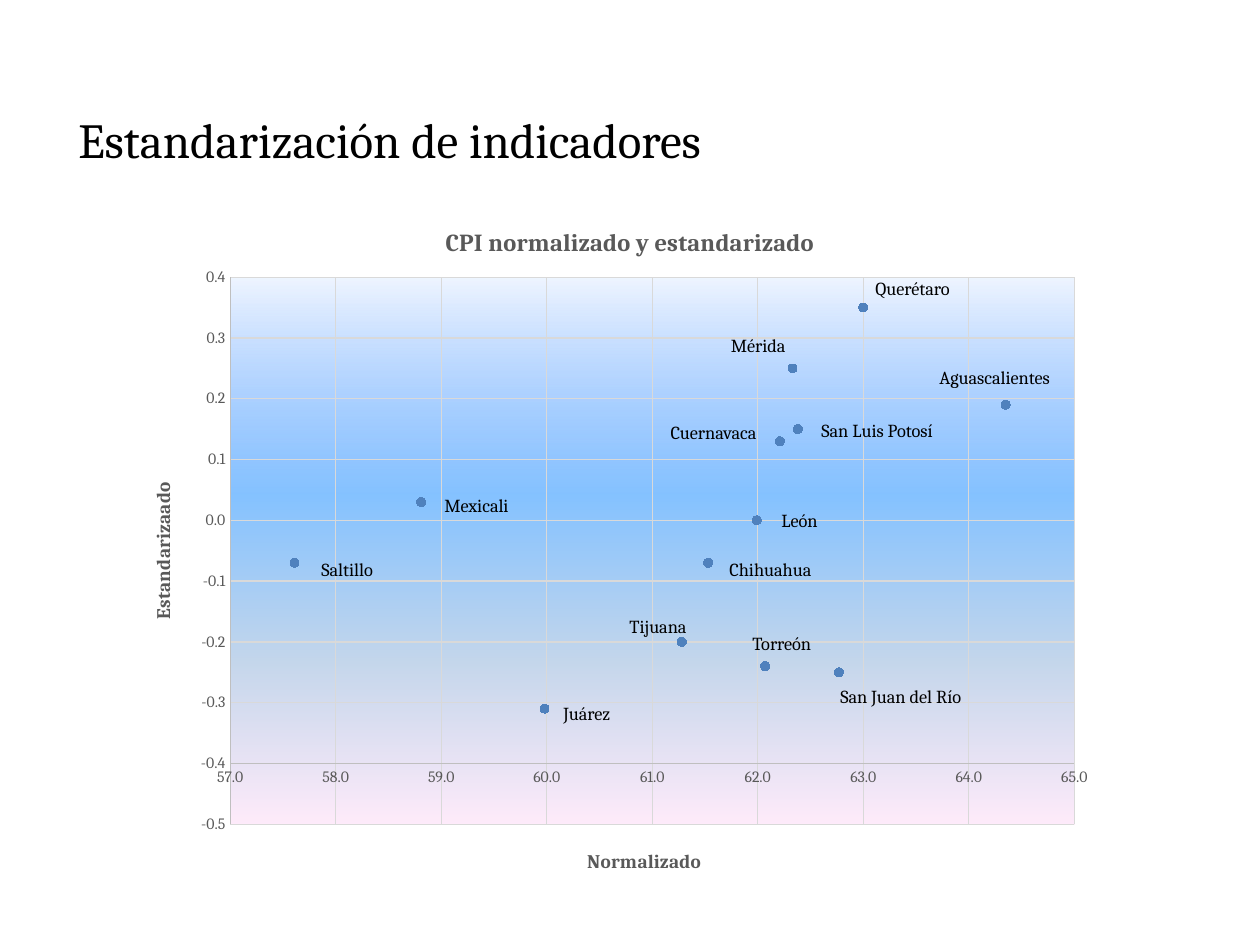
from dataclasses import dataclass

from pptx import Presentation
from pptx.chart.data import XyChartData
from pptx.dml.color import RGBColor
from pptx.enum.chart import XL_CHART_TYPE, XL_MARKER_STYLE, XL_TICK_MARK
from pptx.enum.text import MSO_ANCHOR, MSO_AUTO_SIZE, PP_ALIGN
from pptx.oxml import parse_xml
from pptx.oxml.ns import nsdecls, qn
from pptx.util import Pt

SCATTER = XL_CHART_TYPE.XY_SCATTER
CIRCLE = XL_MARKER_STYLE.CIRCLE
NO_TICK = XL_TICK_MARK.NONE
MIDDLE, TOP = MSO_ANCHOR.MIDDLE, MSO_ANCHOR.TOP
FIT, FIXED = MSO_AUTO_SIZE.SHAPE_TO_FIT_TEXT, MSO_AUTO_SIZE.NONE
LEFT, RIGHT = PP_ALIGN.LEFT, PP_ALIGN.RIGHT

EMU_PER_PX = 914400 / 126
FONT = "Cambria"
BLACK = RGBColor(0x00, 0x00, 0x00)
GRAY = RGBColor(0x59, 0x59, 0x59)
AXIS_GRAY = RGBColor(0xBF, 0xBF, 0xBF)
GRID_GRAY = RGBColor(0xD9, 0xD9, 0xD9)
POINT_BLUE = RGBColor(0x4F, 0x81, 0xBD)
PLOT_STOPS = [
    (0, RGBColor(0x5E, 0x9E, 0xFF), 10),
    (40, RGBColor(0x85, 0xC2, 0xFF), 100),
    (70, RGBColor(0xC4, 0xD6, 0xEB), 100),
    (100, RGBColor(0xFF, 0xEB, 0xFA), 100),
]
PLOT_LAYOUT = {"x": 0.097, "y": 0.111, "w": 0.851, "h": 0.807}
LABEL_WIDTH, LABEL_HEIGHT = 198, 35


@dataclass(frozen=True)
class City:
    name: str
    normalized: float
    standardized: float
    label_left: int
    label_top: int
    align: PP_ALIGN = LEFT
    label_width: int = LABEL_WIDTH


CITIES = [
    City("Aguascalientes", 64.35, 0.19, 927, 360),
    City("Chihuahua", 61.53, -0.07, 717, 552),
    City("Cuernavaca", 62.21, 0.13, 571, 415, RIGHT),
    City("Juárez", 59.98, -0.31, 551, 696),
    City("León", 61.99, 0, 769, 503),
    City("Mérida", 62.33, 0.25, 600, 328, RIGHT),
    City("Mexicali", 58.81, 0.03, 432, 488),
    City("Querétaro", 63, 0.35, 863, 271),
    City("Saltillo", 57.61, -0.07, 309, 552),
    City("San Juan del Río", 62.77, -0.25, 828, 679),
    City("San Luis Potosí", 62.38, 0.15, 809, 413),
    City("Tijuana", 61.28, -0.2, 501, 609, RIGHT),
    City("Torreón", 62.07, -0.24, 740, 626, LEFT, 118),
]


def px(length: int) -> int:
    return round(length * EMU_PER_PX)


def apply(target, values: dict) -> None:
    for attribute, value in values.items():
        setattr(target, attribute, value)


def style_font(font, size: float, color: RGBColor, bold: bool = False) -> None:
    apply(font, {"name": FONT, "size": Pt(size), "bold": bold})
    font.color.rgb = color


def style_line(line, color: RGBColor) -> None:
    line.color.rgb = color
    line.width = Pt(0.75)


def add_text(slide, text: str, box: tuple[int, int, int, int], size: float,
             align: PP_ALIGN, anchor: MSO_ANCHOR, fit: MSO_AUTO_SIZE) -> None:
    frame = slide.shapes.add_textbox(*map(px, box)).text_frame
    apply(frame, {"word_wrap": True, "auto_size": fit, "vertical_anchor": anchor})
    paragraph = frame.paragraphs[0]
    paragraph.alignment = align
    run = paragraph.add_run()
    run.text = text
    style_font(run.font, size, BLACK)


def set_title(frame, text: str, size: float) -> None:
    frame.text = text
    style_font(frame.paragraphs[0].runs[0].font, size, GRAY, True)


def style_axis(axis, title: str, limits: dict) -> None:
    apply(axis, {"has_major_gridlines": True, "major_tick_mark": NO_TICK,
                 "minor_tick_mark": NO_TICK, **limits})
    apply(axis.tick_labels, {"number_format": "0.0", "number_format_is_linked": False})
    style_font(axis.tick_labels.font, 9, GRAY)
    style_line(axis.format.line, AXIS_GRAY)
    style_line(axis.major_gridlines.format.line, GRID_GRAY)
    set_title(axis.axis_title.text_frame, title, 11)


def style_plot_area(chart) -> None:
    area = chart.element.find(".//" + qn("c:plotArea"))
    for layout in area.findall(qn("c:layout")):
        area.remove(layout)
    places = "".join(f'<c:{side} val="{value}"/>' for side, value in PLOT_LAYOUT.items())
    area.insert(0, parse_xml(
        f'<c:layout {nsdecls("c")}><c:manualLayout><c:layoutTarget val="inner"/>'
        f'<c:xMode val="edge"/><c:yMode val="edge"/>{places}</c:manualLayout></c:layout>'))
    stops = "".join(
        f'<a:gs pos="{position * 1000}"><a:srgbClr val="{color}">'
        f'<a:alpha val="{opacity * 1000}"/></a:srgbClr></a:gs>'
        for position, color, opacity in PLOT_STOPS)
    area.append(parse_xml(
        f'<c:spPr {nsdecls("c", "a")}><a:gradFill><a:gsLst>{stops}</a:gsLst>'
        '<a:lin ang="5400000" scaled="0"/></a:gradFill><a:ln><a:noFill/></a:ln></c:spPr>'))


def add_scatter(slide, cities: list[City]) -> None:
    data = XyChartData()
    points = data.add_series("Series 1")
    for city in cities:
        points.add_data_point(city.normalized, city.standardized)
    box = map(px, (134, 202, 992, 678))
    chart = slide.shapes.add_chart(SCATTER, *box, data).chart
    chart.has_legend = False
    style_font(chart.font, 10, BLACK)
    set_title(chart.chart_title.text_frame, "CPI normalizado y estandarizado", 14)
    style_axis(chart.category_axis, "Normalizado",
               {"minimum_scale": 57, "maximum_scale": 65, "major_unit": 1})
    style_axis(chart.value_axis, "Estandarizaado",
               {"minimum_scale": -0.5, "maximum_scale": 0.4, "major_unit": 0.1,
                "crosses_at": -0.4})
    chart.plots[0].vary_by_categories = False
    series = chart.plots[0].series[0]
    series.smooth = False
    series.format.line.fill.background()
    apply(series.marker, {"style": CIRCLE, "size": 5})
    series.marker.format.fill.solid()
    series.marker.format.fill.fore_color.rgb = POINT_BLUE
    style_line(series.marker.format.line, POINT_BLUE)
    style_plot_area(chart)


def main() -> None:
    presentation = Presentation()
    apply(presentation, {"slide_width": px(1260), "slide_height": px(945)})
    slide = presentation.slides.add_slide(presentation.slide_layouts[6])
    add_text(slide, "Estandarización de indicadores", (66, 76, 1134, 126), 28,
             LEFT, MIDDLE, FIXED)
    add_scatter(slide, CITIES)
    for city in CITIES:
        box = (city.label_left, city.label_top, city.label_width, LABEL_HEIGHT)
        add_text(slide, city.name, box, 10.5, city.align, TOP, FIT)
    presentation.save("out.pptx")


if __name__ == "__main__":
    main()
